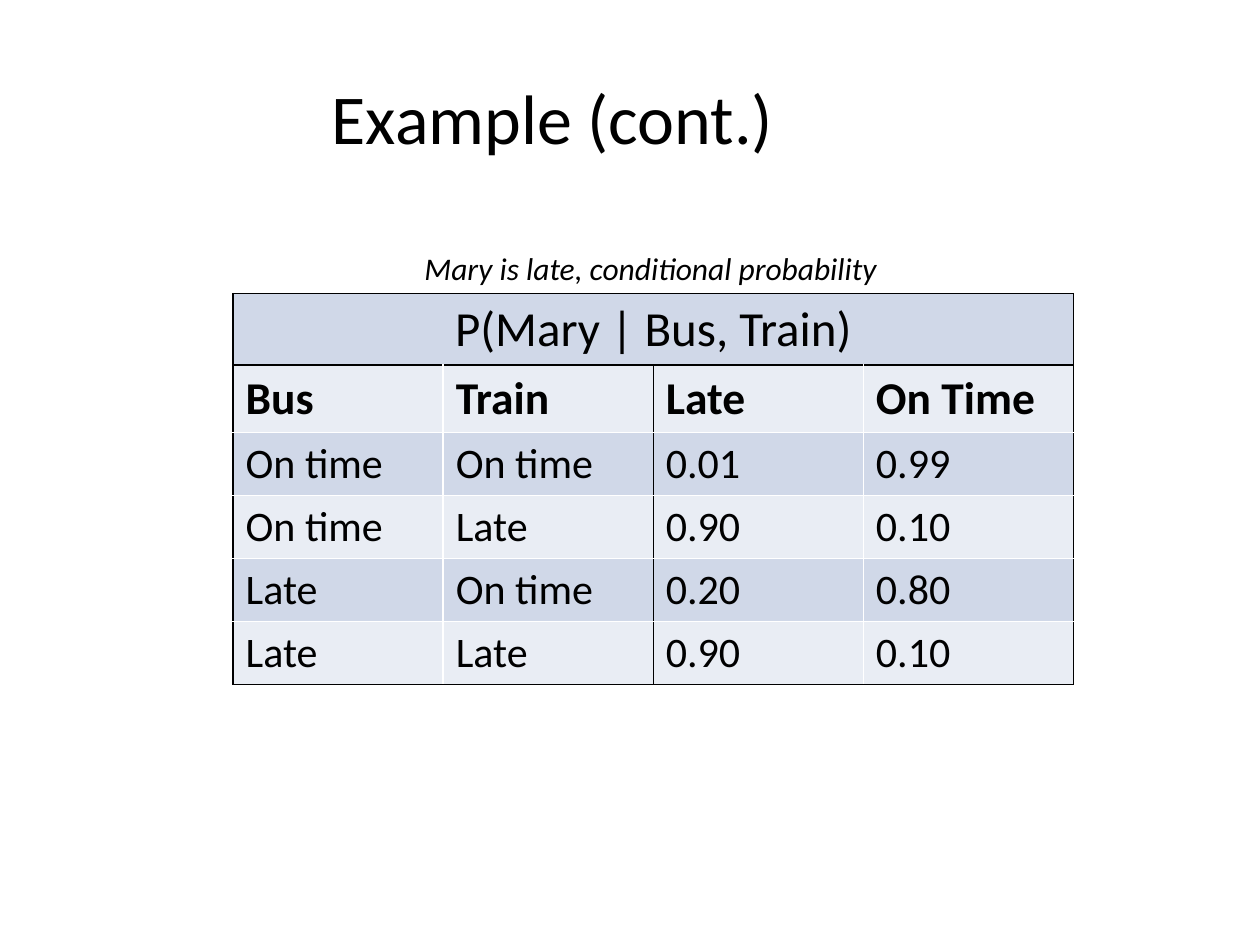
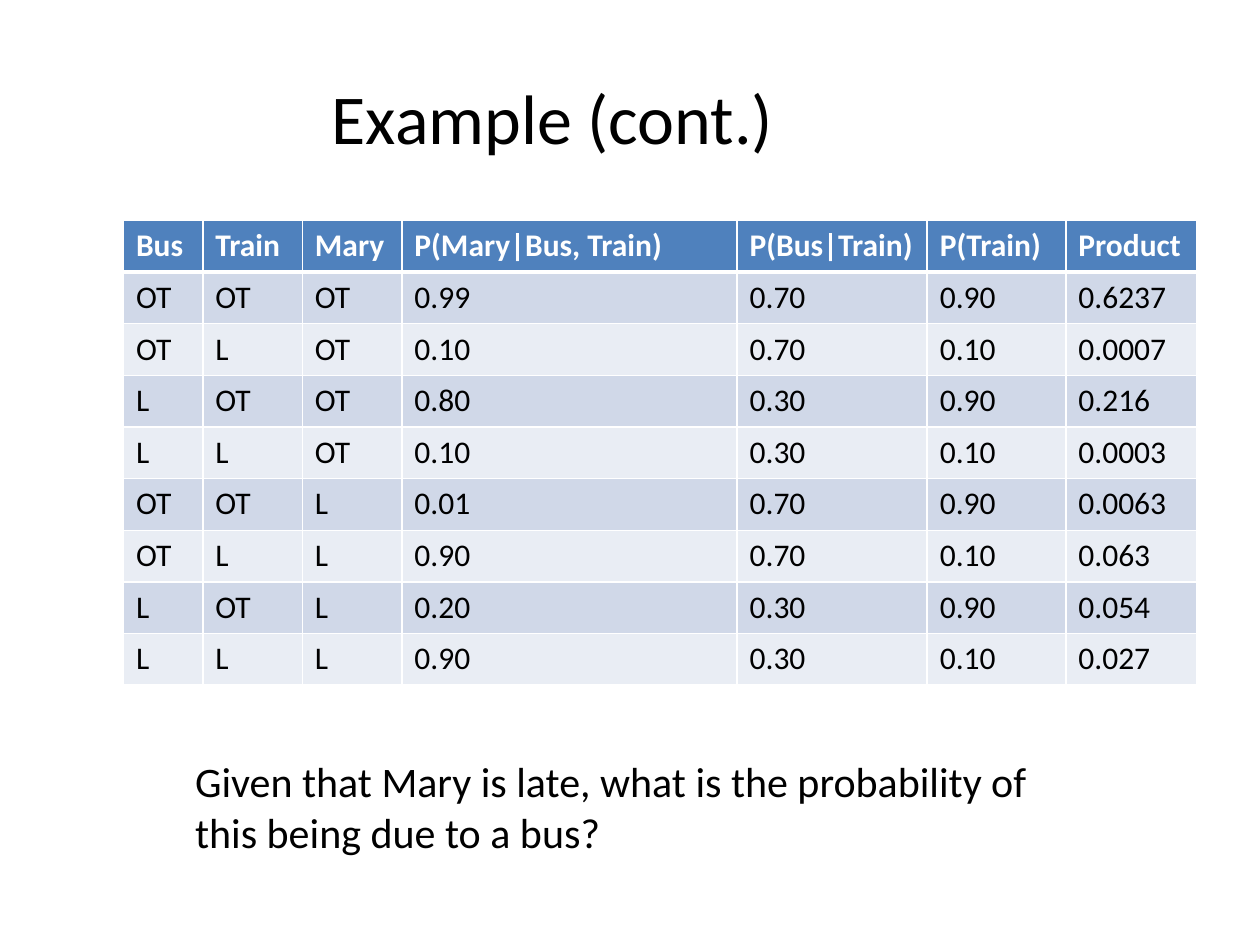
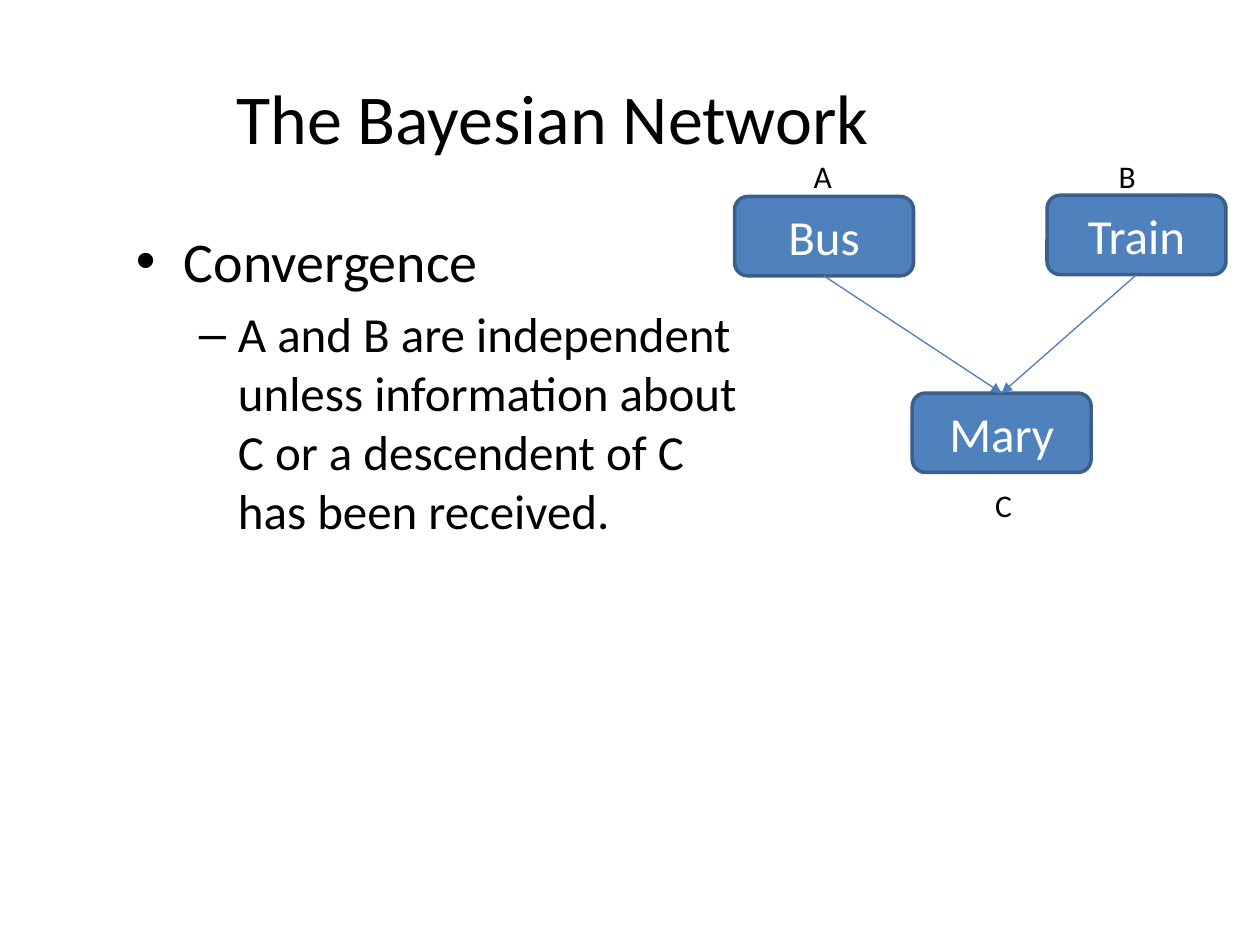
from dataclasses import dataclass

from lxml import etree
from pptx import Presentation
from pptx.dml.color import RGBColor
from pptx.enum.shapes import MSO_CONNECTOR, MSO_SHAPE
from pptx.enum.text import MSO_ANCHOR, PP_ALIGN
from pptx.oxml.ns import qn
from pptx.util import Emu, Inches, Pt

ROUNDED = MSO_SHAPE.ROUNDED_RECTANGLE
STRAIGHT = MSO_CONNECTOR.STRAIGHT
CENTER, LEFT = PP_ALIGN.CENTER, PP_ALIGN.LEFT
MIDDLE, TOP = MSO_ANCHOR.MIDDLE, MSO_ANCHOR.TOP
SIDE_TOP, SIDE_BOTTOM = 0, 2

FONT = "Calibri"
COLORS = {
    "text": "000000",
    "light": "FFFFFF",
    "accent": "4F81BD",
    "outline": "3A5F8C",
    "arrow": "4B7EBC",
    "band_dark": "D0D8E8",
    "band_light": "E9EDF4",
}
ROW_HEIGHT = Inches(0.41)

CONDITIONAL_ROWS = [
    ["P(Mary | Bus, Train)", "", "", ""],
    ["Bus", "Train", "Late", "On Time"],
    ["On time", "On time", "0.01", "0.99"],
    ["On time", "Late", "0.90", "0.10"],
    ["Late", "On time", "0.20", "0.80"],
    ["Late", "Late", "0.90", "0.10"],
]
JOINT_ROWS = [
    ["Bus", "Train", "Mary", "P(Mary|Bus, Train)", "P(Bus|Train)", "P(Train)", "Product"],
    ["OT", "OT", "OT", "0.99", "0.70", "0.90", "0.6237"],
    ["OT", "L", "OT", "0.10", "0.70", "0.10", "0.0007"],
    ["L", "OT", "OT", "0.80", "0.30", "0.90", "0.216"],
    ["L", "L", "OT", "0.10", "0.30", "0.10", "0.0003"],
    ["OT", "OT", "L", "0.01", "0.70", "0.90", "0.0063"],
    ["OT", "L", "L", "0.90", "0.70", "0.10", "0.063"],
    ["L", "OT", "L", "0.20", "0.30", "0.90", "0.054"],
    ["L", "L", "L", "0.90", "0.30", "0.10", "0.027"],
]


@dataclass
class Box:
    left: int
    top: int
    width: int
    height: int

    def inner(self, left, top, width, height):
        """Return an inner box given in percent of this one."""
        return Box(
            Emu(round(self.left + self.width * left / 100)),
            Emu(round(self.top + self.height * top / 100)),
            Emu(round(self.width * width / 100)),
            Emu(round(self.height * height / 100)),
        )

    def frame(self):
        return self.left, self.top, self.width, self.height


def color(name):
    return RGBColor.from_string(COLORS[name])


def style_para(para, size, name="text", align=LEFT, bold=False, italic=False):
    para.alignment = align
    for span in para.runs:
        font = span.font
        font.name, font.size = FONT, Pt(size)
        font.bold, font.italic = bold, italic
        font.color.rgb = color(name)


def add_text(page, box, text, size, anchor=TOP, wrap=True, **style):
    frame = page.shapes.add_textbox(*box.frame()).text_frame
    frame.word_wrap = wrap
    frame.vertical_anchor = anchor
    frame.text = text
    for para in frame.paragraphs:
        style_para(para, size, **style)
    return frame


def add_page(deck, title):
    page = deck.slides.add_slide(deck.slide_layouts[6])
    area = Box(0, 0, deck.slide_width, deck.slide_height)
    add_text(page, area.inner(9.8, 4, 68.1, 16.67), title, 40, MIDDLE, align=CENTER)
    return page, area


def set_borders(cell, edges):
    """Draw cell edges, given as (side, colour name, points) in L, R, T, B order."""
    properties = cell._tc.get_or_add_tcPr()
    for side, name, points in edges:
        line = etree.SubElement(properties, qn(f"a:ln{side}"), w=str(Pt(points)))
        fill = etree.SubElement(line, qn("a:solidFill"))
        etree.SubElement(fill, qn("a:srgbClr"), val=COLORS[name])


def add_grid(page, box, rows, widths, style_cell):
    """Add a table; style_cell gives each cell's fill, edges and text style."""
    table = page.shapes.add_table(len(rows), len(widths), *box.frame()).table
    for column, width in zip(table.columns, widths):
        column.width = Emu(round(box.width * width / sum(widths)))
    for r, values in enumerate(rows):
        table.rows[r].height = ROW_HEIGHT
        for c, value in enumerate(values):
            cell = table.cell(r, c)
            fill, edges, style = style_cell(r, c)
            cell.text = value
            style_para(cell.text_frame.paragraphs[0], **style)
            set_borders(cell, edges)
            cell.fill.solid()
            cell.fill.fore_color.rgb = color(fill)
    return table


def conditional_cell(row, col):
    """Frame the heading row and each pair of columns in black."""
    heading, last = row == 0, row == len(CONDITIONAL_ROWS) - 1
    dark_edges = {
        "L": heading or col % 2 == 0,
        "R": heading or col % 2 == 1,
        "T": row <= 1,
        "B": heading or last,
    }
    edges = [(side, "text" if dark else "light", 1) for side, dark in dark_edges.items()]
    style = {
        "size": {0: 28, 1: 26}.get(row, 24),
        "bold": row == 1,
        "align": CENTER if heading else LEFT,
    }
    return "band_light" if row % 2 else "band_dark", edges, style


def joint_cell(row, col):
    """Set a bold header above banded rows, parted by a thick white line."""
    header = row == 0
    edges = [
        ("L", "light", 1),
        ("R", "light", 1),
        ("T", "light", 3 if row == 1 else 1),
        ("B", "light", 3 if header else 1),
    ]
    style = {"size": 18, "bold": header, "name": "light" if header else "text"}
    fill = "accent" if header else "band_dark" if row % 2 else "band_light"
    return fill, edges, style


def add_conditional_page(deck):
    page, area = add_page(deck, "Example (cont.)")
    box = area.inner(18.5, 31.07, 66.7, 41.33)
    table = add_grid(page, box, CONDITIONAL_ROWS, [1] * 4, conditional_cell)
    table.cell(0, 0).merge(table.cell(0, 3))
    add_text(page, area.inner(32.7, 25.73, 38.3, 5.33),
             "Mary is late, conditional probability", 18, wrap=False, italic=True)


def add_joint_page(deck):
    page, area = add_page(deck, "Example (cont.)")
    widths = [0.63, 0.79, 0.79, 2.66, 1.51, 1.1, 1.04]
    add_grid(page, area.inner(9.8, 23.33, 85.2, 48.67), JOINT_ROWS, widths, joint_cell)
    add_text(page, area.inner(14.5, 79.33, 73.3, 12.13),
             "Given that Mary is late, what is the probability of this being due to a bus?", 24)


def add_bullets(page, box, items):
    """Add items given as (text, size, mark, margin, hanging indent)."""
    frame = add_text(page, box, "\n".join(item[0] for item in items), 32)
    for level, (para, item) in enumerate(zip(frame.paragraphs, items)):
        _, size, mark, margin, hanging = item
        style_para(para, size)
        para.level = level
        para.space_before = Pt(size * 0.2)
        properties = para._p.get_or_add_pPr()
        properties.set("marL", str(Inches(margin)))
        properties.set("indent", str(-Inches(hanging)))
        etree.SubElement(properties, qn("a:buFont"), typeface="Arial")
        etree.SubElement(properties, qn("a:buChar"), char=mark)


def add_node(page, box, text):
    node = page.shapes.add_shape(ROUNDED, *box.frame())
    node.shadow.inherit = False
    node.fill.solid()
    node.fill.fore_color.rgb = color("accent")
    node.line.color.rgb = color("outline")
    node.line.width = Pt(2)
    frame = node.text_frame
    frame.text = text
    frame.vertical_anchor = MIDDLE
    style_para(frame.paragraphs[0], 28, "light", CENTER)
    return node


def add_arrow(page, start, end):
    arrow = page.shapes.add_connector(STRAIGHT, 0, 0, 0, 0)
    arrow.begin_connect(start, SIDE_BOTTOM)
    arrow.end_connect(end, SIDE_TOP)
    arrow.line.color.rgb = color("arrow")
    arrow.line.width = Pt(0.75)
    etree.SubElement(arrow.line._get_or_add_ln(), qn("a:tailEnd"), type="triangle")
    etree.SubElement(arrow._element.spPr, qn("a:effectLst"))


def add_network(page, box):
    # name, left, top, letter, letter's left, letter's top
    layout = [
        ("Bus", 0, 11.96, "A", 13.59, 0),
        ("Train", 63.59, 11.63, "B", 75.64, 0),
        ("Mary", 36.15, 63.79, "C", 50.51, 86.71),
    ]
    nodes = []
    for name, left, top, letter, letter_left, letter_top in layout:
        nodes.append(add_node(page, box.inner(left, top, 36.41, 20.93), name))
        add_text(page, box.inner(letter_left, letter_top, 8.8, 13.29), letter, 18, wrap=False)
    bus, train, mary = nodes
    for cause in (train, bus):
        add_arrow(page, cause, mary)


def add_network_page(deck):
    page, area = add_page(deck, "The Bayesian Network")
    add_bullets(page, area.inner(9.8, 23.33, 50.2, 66), [
        ("Convergence", 32, "•", 0.38, 0.38),
        ("A and B are independent unless information about C or a descendent of C "
         "has been received.", 28, "–", 0.81, 0.31),
    ])
    add_network(page, area.inner(58.3, 16, 39, 40.13))


def main():
    deck = Presentation()
    deck.slide_width, deck.slide_height = Inches(10), Inches(7.5)
    add_conditional_page(deck)
    add_joint_page(deck)
    add_network_page(deck)
    deck.save("out.pptx")


if __name__ == "__main__":
    main()
